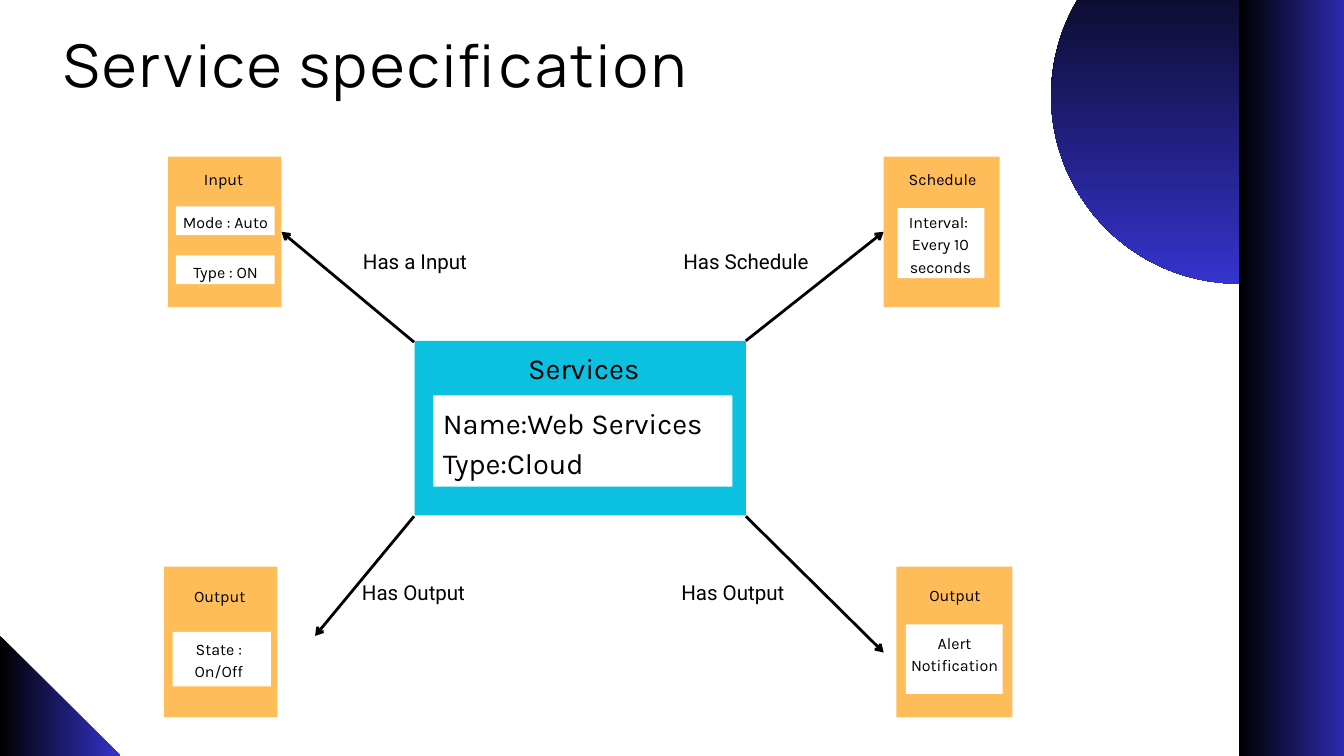
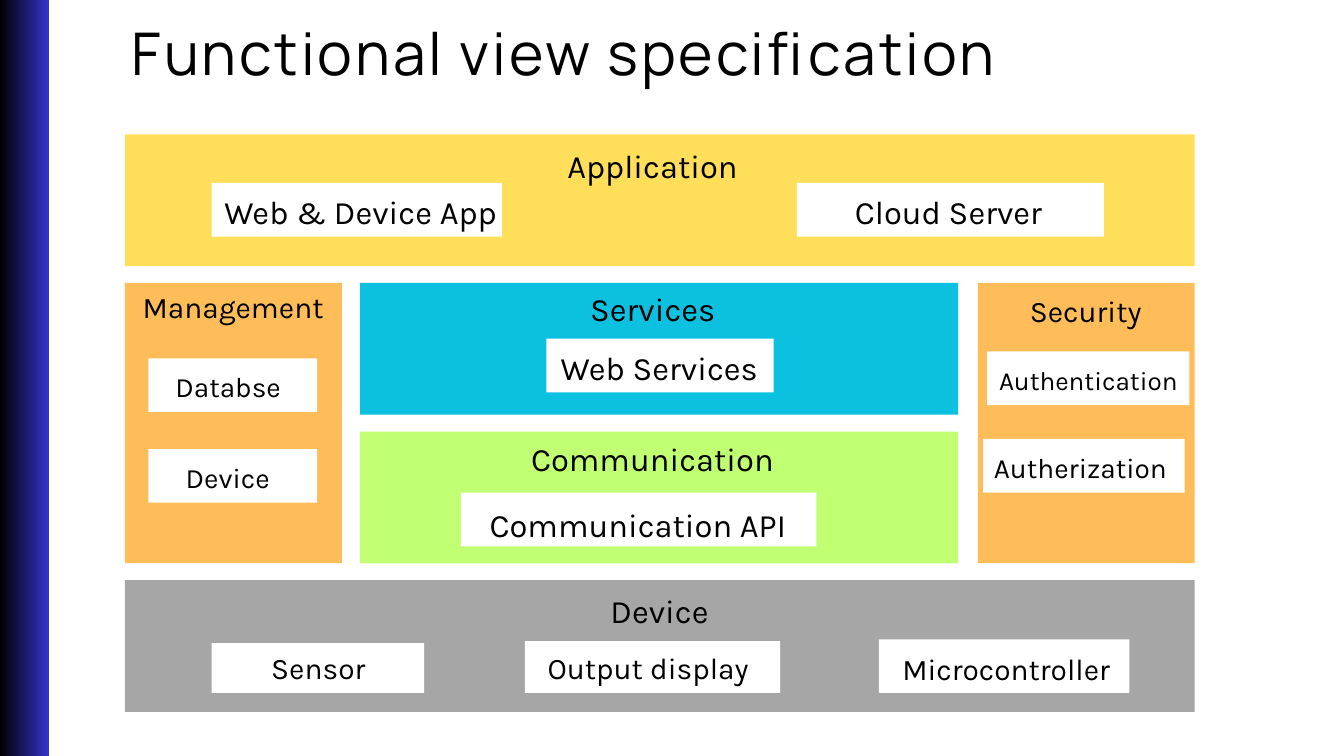
from lxml import etree
from pptx import Presentation
from pptx.dml.color import RGBColor
from pptx.enum.shapes import MSO_CONNECTOR as Connector, MSO_SHAPE as Shape
from pptx.enum.text import PP_ALIGN as Align
from pptx.oxml.ns import qn
from pptx.util import Cm, Pt

# Shared look
BLACK, WHITE, INDIGO = "000000", "FFFFFF", "3533CD"
ORANGE, CYAN, YELLOW = "FFBD59", "0CC0DF", "FFDE59"
GREEN, GREY = "C1FF72", "A6A6A6"
TITLE_FONT, BODY_FONT, LINK_FONT = "Manrope", "Karla", "Roboto"
LEADING = {TITLE_FONT: 1.05, BODY_FONT: 1.4, LINK_FONT: 1.3}
CARD_SIZE = 17.2

# Rows of the functional view
VIEW_LEFT, VIEW_WIDTH = 1.86, 15.92
ROW_TOP, ROW_HEIGHT, ROW_PITCH = 2, 1.96, 2.21
SIDE_WIDTH, SIDE_HEIGHT = 3.23, ROW_PITCH + ROW_HEIGHT
CORE_LEFT, CORE_WIDTH = 5.36, 8.9


def length(units):
    """The layout grid has 20 by 11.25 units of 2.54 cm."""
    return Cm(round(units * 2.54, 2))


def color(hex_code):
    return RGBColor.from_string(hex_code)


def add_figure(slide, kind, frame):
    figure = slide.shapes.add_shape(kind, *map(length, frame))
    figure.shadow.inherit = False
    figure.line.fill.background()
    return figure


def add_panel(slide, frame, fill):
    panel = add_figure(slide, Shape.RECTANGLE, frame)
    panel.fill.solid()
    panel.fill.fore_color.rgb = color(fill)


def add_accent(slide, kind, frame, angle=0):
    """Decoration that fades from black to indigo."""
    accent = add_figure(slide, kind, frame)
    accent.fill.gradient()
    accent.fill.gradient_angle = angle
    for stop, shade in zip(accent.fill.gradient_stops, (BLACK, INDIGO)):
        stop.color.rgb = color(shade)


def add_label(slide, text, spot, size, font=BODY_FONT, align=Align.CENTER, tracking=None):
    """Write one paragraph per line of text at spot (left, top, width)."""
    lines = text.split("\n")
    leading = round(size * LEADING[font], 1)
    height = len(lines) * leading / 72
    box = slide.shapes.add_textbox(*map(length, (*spot, height)))
    frame = box.text_frame
    frame.word_wrap = True
    frame.margin_left = frame.margin_right = frame.margin_top = frame.margin_bottom = 0
    for index, line in enumerate(lines):
        paragraph = frame.add_paragraph() if index else frame.paragraphs[0]
        paragraph.alignment = align
        paragraph.line_spacing = Pt(leading)
        run = paragraph.add_run()
        run.text = line
        run.font.name = font
        run.font.size = Pt(size)
        run.font.color.rgb = color(BLACK)
        if tracking:
            run._r.get_or_add_rPr().set("spc", str(tracking))


def add_title(slide, text, spot):
    add_label(slide, text, spot, 63, TITLE_FONT, tracking=310)


def add_field(slide, text, frame, spot, size, align=Align.CENTER):
    """White box with its text."""
    add_panel(slide, frame, WHITE)
    add_label(slide, text, spot, size, align=align)


def add_block(slide, fill, frame, heading, spot, size, fields):
    """Coloured panel with a heading and white fields."""
    add_panel(slide, frame, fill)
    add_label(slide, heading, spot, size)
    for field in fields:
        add_field(slide, *field)


def add_arrow(slide, start, end):
    arrow = slide.shapes.add_connector(
        Connector.STRAIGHT, *map(length, (*start, *end)))
    arrow.line.color.rgb = color(BLACK)
    arrow.line.width = Pt(3)
    outline = arrow.line._get_or_add_ln()
    etree.SubElement(outline, qn("a:tailEnd"), type="arrow")
    etree.SubElement(arrow._element.spPr, qn("a:effectLst"))


def build_service_slide(slide):
    # Decoration and title
    add_accent(slide, Shape.OVAL, (15.64, -1.37, 5.59, 5.59), angle=270)
    add_accent(slide, Shape.RECTANGLE, (18.44, -0.18, 1.85, 11.43))
    add_accent(slide, Shape.RIGHT_TRIANGLE, (0, 9.46, 1.79, 1.79))
    add_title(slide, "Service specification", (0.07, 0.56, 11.02))

    # Corner cards: left, top, width, heading and its spot, fields
    cards = [
        (2.5, 2.33, 1.69, "Input", (3.01, 2.48, 0.63), [
            ("Mode : Auto", (2.62, 3.07, 1.47, 0.43), (2.65, 3.11, 1.41)),
            ("Type : ON", (2.62, 3.8, 1.47, 0.43), (2.8, 3.85, 1.12))]),
        (13.15, 2.33, 1.73, "Schedule", (13.48, 2.48, 1.09), [
            ("Interval: \nEvery 10 seconds", (13.36, 3.1, 1.29, 1.04), (13.15, 3.11, 1.69))]),
        (2.44, 8.43, 1.69, "Output", (2.85, 8.68, 0.84), [
            ("State :\nOn/Off", (2.57, 9.4, 1.46, 0.81), (2.85, 9.46, 0.81))]),
        (13.34, 8.43, 1.73, "Output", (13.79, 8.66, 0.84), [
            ("Alert Notification", (13.48, 9.29, 1.44, 1.03), (13.45, 9.37, 1.51))]),
    ]
    for left, top, width, heading, spot, fields in cards:
        add_block(slide, ORANGE, (left, top, width, 2.24), heading, spot, CARD_SIZE,
                  [(*field, CARD_SIZE) for field in fields])

    # Central service
    add_block(slide, CYAN, (6.17, 5.07, 4.93, 2.6), "Services", (7.79, 5.13, 1.79), 31.1, [
        ("Name:Web Services\nType:Cloud", (6.45, 5.88, 4.45, 1.36),
         (6.59, 5.94, 4.19), 31.1, Align.LEFT)])

    # Relations from the service to the cards
    relations = [
        ("Has a Input", (5.35, 3.67, 1.65), (6.16, 5.09), (4.19, 3.45)),
        ("Has Schedule", (10.07, 3.67, 2.06), (11.1, 5.07), (13.15, 3.45)),
        ("Has Output", (5.32, 8.6, 1.67), (6.16, 7.68), (4.69, 9.46)),
        ("Has Output", (10.07, 8.6, 1.67), (11.1, 7.68), (13.15, 9.71)),
    ]
    for relation, spot, start, end in relations:
        add_arrow(slide, start, end)
        add_label(slide, relation, spot, 22, LINK_FONT)


def build_functional_slide(slide):
    # Decoration and title
    add_accent(slide, Shape.RECTANGLE, (0, 0, 0.73, 11.25))
    add_title(slide, "Functional view specification", (-0.15, 0.38, 17.08))

    # Frames of the layers, by row
    app_top, service_top, comm_top, device_top = (
        ROW_TOP + ROW_PITCH * row for row in range(4))
    security_left = VIEW_LEFT + VIEW_WIDTH - SIDE_WIDTH

    # Full-width and central layers
    add_block(slide, YELLOW, (VIEW_LEFT, app_top, VIEW_WIDTH, ROW_HEIGHT),
              "Application", (8.33, 2.07, 2.76), 35, [
        ("Web & Device App", (3.15, 2.72, 4.32, 0.8), (3.21, 2.76, 4.32), 35),
        ("Cloud Server", (11.86, 2.72, 4.57, 0.8), (12.57, 2.76, 3.09), 35)])
    add_block(slide, CYAN, (CORE_LEFT, service_top, CORE_WIDTH, ROW_HEIGHT),
              "Services", (8.71, 4.2, 2.01), 35, [
        ("Web Services", (8.13, 5.04, 3.38, 0.8), (8.23, 5.07, 3.17), 35)])
    add_block(slide, GREEN, (CORE_LEFT, comm_top, CORE_WIDTH, ROW_HEIGHT),
              "Communication", (7.81, 6.43, 3.8), 35, [
        ("Communication API", (6.86, 7.33, 5.29, 0.8), (7.13, 7.41, 4.73), 35)])
    add_block(slide, GREY, (VIEW_LEFT, device_top, VIEW_WIDTH, ROW_HEIGHT),
              "Device", (9, 8.7, 1.63), 35, [
        ("Sensor", (3.15, 9.57, 3.16, 0.74), (3.99, 9.58, 1.5), 32),
        ("Output display", (7.81, 9.54, 3.8, 0.77), (8.03, 9.57, 3.23), 32),
        ("Microcontroller", (13.08, 9.51, 3.73, 0.8), (13.26, 9.59, 3.43), 32)])

    # Side columns
    add_block(slide, ORANGE, (VIEW_LEFT, service_top, SIDE_WIDTH, SIDE_HEIGHT),
              "Management", (2.05, 4.21, 2.84), 32, [
        ("Databse", (2.21, 5.33, 2.51, 0.8), (2.55, 5.41, 1.69), 30),
        ("Device", (2.21, 6.68, 2.51, 0.8), (2.69, 6.77, 1.4), 30)])
    add_block(slide, ORANGE, (security_left, service_top, SIDE_WIDTH, SIDE_HEIGHT),
              "Security", (15.25, 4.27, 1.82), 32, [
        ("Authentication", (14.69, 5.23, 3.01, 0.8), (14.76, 5.34, 2.87), 28),
        ("Autherization", (14.63, 6.53, 3, 0.8), (14.69, 6.62, 2.78), 30)])


def main():
    deck = Presentation()
    deck.slide_width, deck.slide_height = length(20), length(11.25)
    blank = deck.slide_layouts[6]
    for build in (build_service_slide, build_functional_slide):
        build(deck.slides.add_slide(blank))
    deck.save("out.pptx")


if __name__ == "__main__":
    main()
